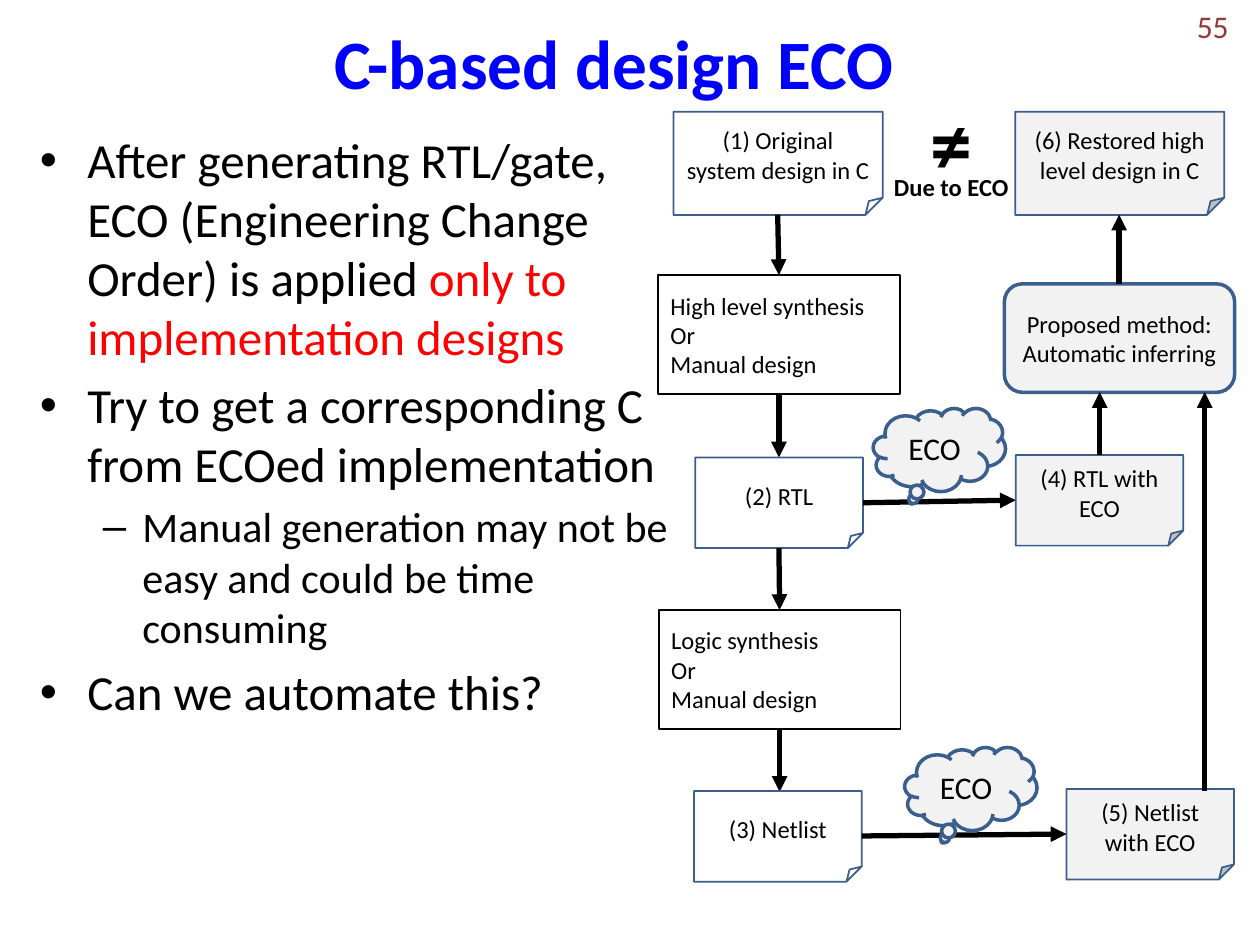
from dataclasses import dataclass

import lxml.etree
import pptx
import pptx.dml.color
import pptx.enum.shapes
import pptx.enum.text
import pptx.oxml.ns
import pptx.util

Pt = pptx.util.Pt
Shape = pptx.enum.shapes.MSO_SHAPE
Align = pptx.enum.text.PP_ALIGN
Anchor = pptx.enum.text.MSO_ANCHOR
qn = pptx.oxml.ns.qn

COLORS = {
    "title": "0000FF", "text": "000000", "accent": "FF0000", "number": "953735",
    "outline": "3A5F8C", "restored": "F2F2F2",
}
FONT = "Calibri"


@dataclass
class Node:
    kind: Shape
    left: float
    top: float
    width: float
    height: float
    lines: tuple[str, ...]
    fill: str | None = None
    outline: str = "outline"
    weight: float = 1
    size: float = 14
    align: Align = Align.CENTER


@dataclass
class Arrow:
    x1: float
    y1: float
    x2: float
    y2: float


@dataclass
class Bullet:
    runs: tuple[tuple[str, str], ...]
    size: float = 28
    mark: str = "•"
    level: int = 0
    margin: float = 27
    hang: float = 27


def rgb(name: str) -> pptx.dml.color.RGBColor:
    return pptx.dml.color.RGBColor.from_string(COLORS[name])


def style(font, size: float, color: str = "text", bold: bool = False) -> None:
    font.name, font.size, font.bold = FONT, Pt(size), bold
    font.color.rgb = rgb(color)


def place(shape, left: float, top: float, width: float, height: float) -> None:
    shape.left, shape.top, shape.width, shape.height = map(Pt, (left, top, width, height))


def draw_node(slide, node: Node) -> None:
    shape = slide.shapes.add_shape(
        node.kind, Pt(node.left), Pt(node.top), Pt(node.width), Pt(node.height))
    shape.shadow.inherit = False
    if node.fill:
        shape.fill.solid()
        shape.fill.fore_color.rgb = rgb(node.fill)
    else:
        shape.fill.background()
    shape.line.color.rgb = rgb(node.outline)
    shape.line.width = Pt(node.weight)
    frame = shape.text_frame
    frame.word_wrap = True
    frame.vertical_anchor = Anchor.MIDDLE
    frame.text = "\n".join(node.lines)
    for paragraph in frame.paragraphs:
        paragraph.alignment = node.align
        style(paragraph.font, node.size)


def draw_arrow(slide, arrow: Arrow) -> None:
    connector = slide.shapes.add_connector(
        pptx.enum.shapes.MSO_CONNECTOR.STRAIGHT,
        Pt(arrow.x1), Pt(arrow.y1), Pt(arrow.x2), Pt(arrow.y2))
    connector.line.color.rgb = rgb("text")
    connector.line.width = Pt(3)
    line = connector.line._get_or_add_ln()
    lxml.etree.SubElement(line, qn("a:tailEnd"), type="triangle")
    lxml.etree.SubElement(connector._element.spPr, qn("a:effectLst"))


def add_text(slide, left: float, top: float, width: float, height: float, wrap: bool = True):
    box = slide.shapes.add_textbox(Pt(left), Pt(top), Pt(width), Pt(height))
    box.text_frame.word_wrap = wrap
    return box.text_frame


def write_bullets(frame, bullets: list[Bullet]) -> None:
    for index, bullet in enumerate(bullets):
        paragraph = frame.add_paragraph() if index else frame.paragraphs[0]
        paragraph.level = bullet.level
        properties = paragraph._p.get_or_add_pPr()
        properties.set("marL", str(Pt(bullet.margin)))
        properties.set("indent", str(-Pt(bullet.hang)))
        if index:
            paragraph.space_before = Pt(bullet.size * 0.2)
        lxml.etree.SubElement(properties, qn("a:buFont"), typeface="Arial")
        lxml.etree.SubElement(properties, qn("a:buChar"), char=bullet.mark)
        paragraph.font.name, paragraph.font.size = FONT, Pt(bullet.size)
        for words, color in bullet.runs:
            run = paragraph.add_run()
            run.text = words
            run.font.color.rgb = rgb(color)


def document(left: float, top: float, text: str, fill: str | None = None) -> Node:
    return Node(Shape.FOLDED_CORNER, left, top, 95.8, 51.8, (text,), fill)


def c_design(left: float, text: str, fill: str | None = None) -> Node:
    return Node(Shape.FOLDED_CORNER, left, 63.8, 119.5, 59, (text,), fill)


def synthesis(left: float, top: float, name: str) -> Node:
    return Node(Shape.RECTANGLE, left, top, 138.2, 68, (name, "Or", "Manual design"),
                outline="text", align=Align.LEFT)


def eco_cloud(left: float, top: float) -> Node:
    return Node(Shape.CLOUD_CALLOUT, left, top, 75.6, 47.5, ("ECO",), "restored",
                weight=2, size=18)


BULLETS = [
    Bullet((("After generating RTL/gate, ECO (Engineering Change Order) is applied ", "text"),
            ("only to implementation designs", "accent"))),
    Bullet((("Try to get a corresponding C from ECOed implementation", "text"),)),
    Bullet((("Manual generation may not be easy and could be time consuming", "text"),),
           24, "–", 1, 58.5, 22.5),
    Bullet((("Can we automate this?", "text"),)),
]

FLOW = [
    c_design(384.9, "(1) Original system design in C"),
    Arrow(444.4, 122.6, 445.1, 157.2),
    synthesis(376, 157.2, "High level synthesis"),
    Arrow(445.1, 225.2, 445.1, 261.4),
    document(397.3, 261.4, "(2) RTL"),
    Arrow(445.1, 313.2, 445.5, 348.6),
    synthesis(376.4, 348.6, "Logic synthesis"),
    Arrow(445.5, 416.6, 445.5, 452.5),
    document(396.6, 452, "(3) Netlist"),
    c_design(580.1, "(6) Restored high level design in C", "restored"),
    document(580.4, 260, "(4) RTL with ECO", "restored"),
    document(609.4, 450.8, "(5) Netlist with ECO", "restored"),
    Node(Shape.ROUNDED_RECTANGLE, 573.9, 162.2, 131.6, 62,
         ("Proposed method: Automatic inferring",), "restored", weight=2),
    Arrow(492.4, 477.7, 609.4, 476.6),
    eco_cloud(517, 427),
    Arrow(493.1, 287.3, 580.4, 285.8),
    eco_cloud(499, 233.3),
    Arrow(628.4, 260, 628.4, 224),
    Arrow(688.4, 452, 688.4, 224),
    Arrow(639.5, 162, 639.5, 122.6),
]


def main() -> None:
    deck = pptx.Presentation()
    deck.slide_width, deck.slide_height = Pt(720), Pt(540)
    slide = deck.slides.add_slide(deck.slide_layouts.get_by_name("Title Only"))

    title = slide.shapes.title
    place(title, 26, 8.6, 650, 53.3)
    title.text_frame.text = "C-based design ECO"
    title.text_frame.auto_size = pptx.enum.text.MSO_AUTO_SIZE.NONE
    title.text_frame.vertical_anchor = Anchor.MIDDLE
    heading = title.text_frame.paragraphs[0]
    heading.alignment = Align.CENTER
    style(heading.font, 39.6, "title", True)

    write_bullets(add_text(slide, 15.8, 70.6, 376.6, 420.5), BULLETS)

    for part in FLOW:
        if isinstance(part, Arrow):
            draw_arrow(slide, part)
        else:
            draw_node(slide, part)

    mismatch = add_text(slide, 503.3, 73.4, 80.6, 44.6, wrap=False)
    mismatch.text = "≠\nDue to ECO"
    for paragraph, size in zip(mismatch.paragraphs, (48, 14)):
        paragraph.alignment = Align.CENTER
        paragraph.line_spacing = 0.5
        style(paragraph.font, size, bold=True)

    page = add_text(slide, 541.4, 0.7, 167.8, 28.8)
    page.vertical_anchor = Anchor.MIDDLE
    page.text = "55"
    page.paragraphs[0].alignment = Align.RIGHT
    style(page.paragraphs[0].font, 18, "number")

    deck.save("out.pptx")


if __name__ == "__main__":
    main()
